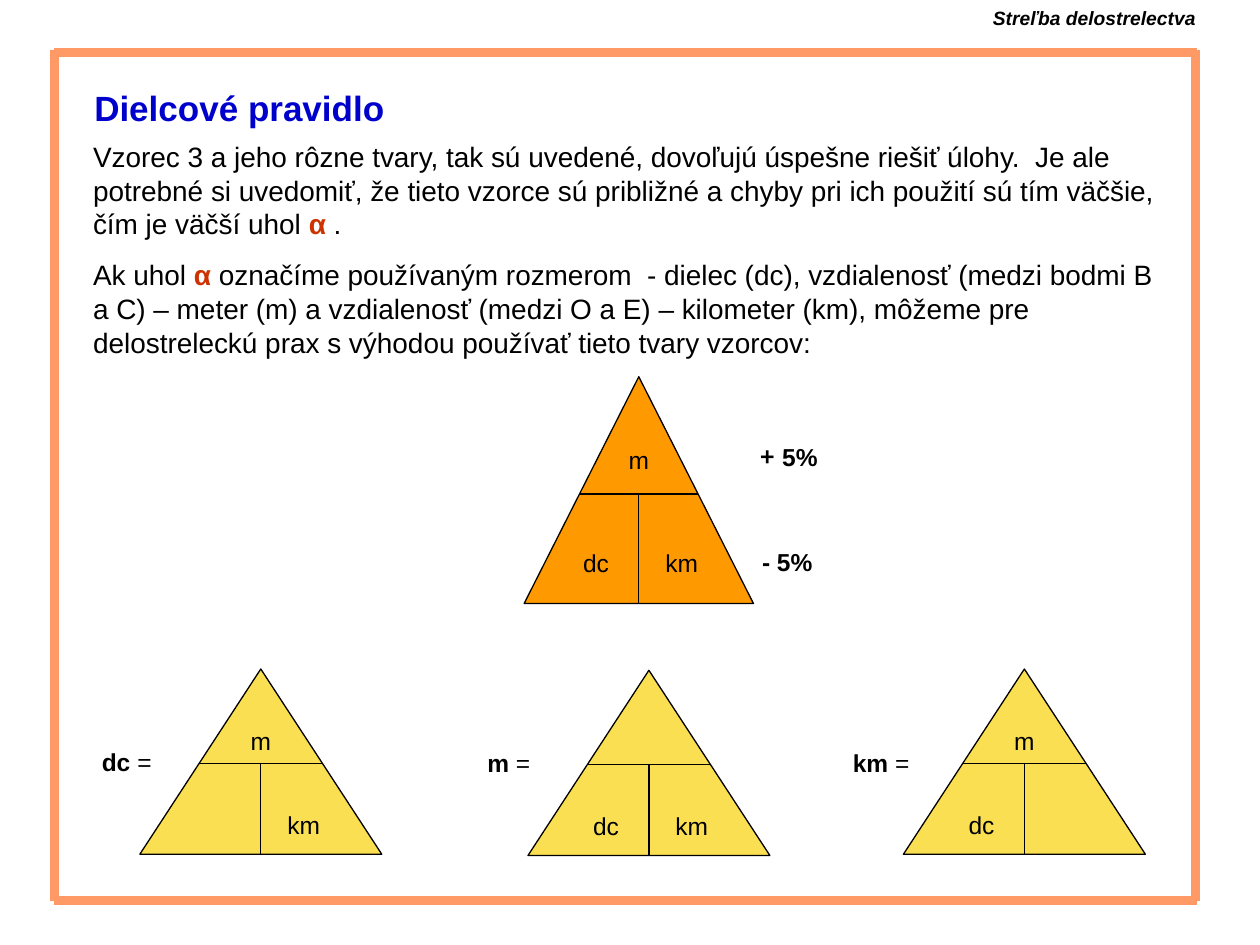
import pptx
import pptx.dml.color
import pptx.enum.shapes
import pptx.enum.text
import pptx.oxml.ns
import pptx.util
from lxml import etree

PX = 9144  # 100 px to the inch
COLORS = {"ink": "000000", "title": "0000CC", "alpha": "CC3300",
          "orange": "FF9900", "yellow": "FBDF53", "frame": "FF9966"}
ALIGN = pptx.enum.text.PP_ALIGN
SHAPE = pptx.enum.shapes.MSO_SHAPE
PLAIN = {"name": "Arial", "size": 14, "bold": False, "italic": False, "color": "ink"}
BOLD = {"bold": True}


def rgb(name):
    return pptx.dml.color.RGBColor.from_string(COLORS[name])


def emu(*lengths):
    return [round(length * PX) for length in lengths]


def add_line(parts, start, end, color="ink", width=0.75):
    line = parts.add_connector(pptx.enum.shapes.MSO_CONNECTOR.STRAIGHT,
                               *emu(*start, *end))
    line.line.color.rgb = rgb(color)
    line.line.width = pptx.util.Pt(width)
    etree.SubElement(line._element.spPr, pptx.oxml.ns.qn("a:effectLst"))


def add_text(parts, box, paragraphs, align=ALIGN.LEFT, gap=0, **base):
    """Each paragraph is a list of (text, format overrides) spans."""
    frame = parts.add_textbox(*emu(*box)).text_frame
    settings = {"word_wrap": True,
                "auto_size": pptx.enum.text.MSO_AUTO_SIZE.SHAPE_TO_FIT_TEXT}
    for key, value in settings.items():
        setattr(frame, key, value)
    for index, spans in enumerate(paragraphs):
        para = frame.add_paragraph() if index else frame.paragraphs[0]
        para.alignment = align
        if index:
            para.space_before = pptx.util.Pt(gap)
        for text, overrides in spans:
            values = {**PLAIN, **base, **overrides}
            span = para.add_run()
            span.text = text
            span.font.color.rgb = rgb(values.pop("color"))
            span.font.size = pptx.util.Pt(values.pop("size"))
            for key, value in values.items():
                setattr(span.font, key, value)


def add_triangle(parts, box, color, divider, lift, top="", left="", right=""):
    """Triangle cut into three fields; lift is how far labels sit above the divider."""
    x, y, width, height = box
    triangle = parts.add_shape(SHAPE.ISOSCELES_TRIANGLE, *emu(*box))
    triangle.shadow.inherit = False
    triangle.fill.solid()
    triangle.fill.fore_color.rgb = rgb(color)
    triangle.line.color.rgb = rgb("ink")
    triangle.line.width = pptx.util.Pt(0.75)

    middle, cut, bottom = x + width / 2, y + divider, y + height
    half = width * divider / height / 2
    add_line(parts, (middle - half, cut), (middle + half, cut))
    add_line(parts, (middle, cut), (middle, bottom))
    labels = [(top, 0, cut - lift), (left, -34, bottom - lift - 5),
              (right, 34, bottom - lift - 5)]
    for text, offset, label_y in labels:
        if text:
            add_text(parts, (middle + offset - 26, label_y, 52, 34),
                     [[(text, {})]], align=ALIGN.CENTER)


def add_main_formula(page, x, y):
    parts = page.shapes.add_group_shape().shapes
    add_triangle(parts, (x, y, 182, 180), "orange", 93, 44, "m", "dc", "km")
    plus = [("+", {"name": "Noto Sans CJK SC"}), (" 5%", {})]
    add_text(parts, (x + 178, y + 47, 66, 34), [plus], **BOLD)
    add_text(parts, (x + 179, y + 130, 66, 34), [[("- 5%", {})]], **BOLD)


def add_derived_formula(page, x, y, unknown, label_x, label_y, **fields):
    parts = page.shapes.add_group_shape().shapes
    add_triangle(parts, (x, y, 192, 147), "yellow", 75, 35, **fields)
    add_text(parts, (x + label_x, y + label_y, 76, 34),
             [[(unknown, BOLD), (" =", {})]])


def add_frame(page, x, y, width, height):
    parts = page.shapes.add_group_shape().shapes
    right, bottom = x + width, y + height
    for side in (x, right):
        add_line(parts, (side, y - 2), (side, bottom), "frame", 5.25)
    for side in (y, bottom):
        add_line(parts, (x, side), (right + 1, side), "frame", 5.25)


def add_body(page, box):
    alpha = {"color": "alpha", "bold": True}
    paragraphs = [
        [("Vzorec 3 a jeho rôzne tvary, tak sú uvedené, dovoľujú úspešne riešiť "
          "úlohy.  Je ale potrebné si uvedomiť, že tieto vzorce sú približné a "
          "chyby pri ich použití sú tím väčšie, čím je väčší uhol ", {}),
         ("α", alpha), (" .", {})],
        [("Ak uhol ", {}), ("α ", alpha),
         ("označíme používaným rozmerom  - dielec (dc), vzdialenosť (medzi bodmi "
          "B a C) – meter (m) a vzdialenosť (medzi O a E) – kilometer (km), "
          "môžeme pre delostreleckú prax s výhodou používať tieto tvary vzorcov:",
          {})],
    ]
    add_text(page.shapes, box, paragraphs, gap=10, size=16)


def main():
    deck = pptx.Presentation()
    deck.slide_width, deck.slide_height = emu(1000, 750)
    page = deck.slides.add_slide(deck.slide_layouts[6])

    add_text(page.shapes, (65, 64, 846, 43), [[("Dielcové pravidlo", {})]],
             size=20, bold=True, color="title")
    add_main_formula(page, 416, 299)
    add_derived_formula(page, 111, 531, "dc", -40, 57, top="m", right="km")
    add_derived_formula(page, 419, 532, "m", -42, 57, left="dc", right="km")
    add_derived_formula(page, 717, 531, "km", -50, 58, top="m", left="dc")
    add_frame(page, 43, 42, 906, 673)
    add_body(page, (64, 106, 869, 225))
    add_text(page.shapes, (740, 0, 219, 29), [[("Streľba delostrelectva", {})]],
             align=ALIGN.RIGHT, size=11, bold=True, italic=True)
    deck.save("out.pptx")


if __name__ == "__main__":
    main()
